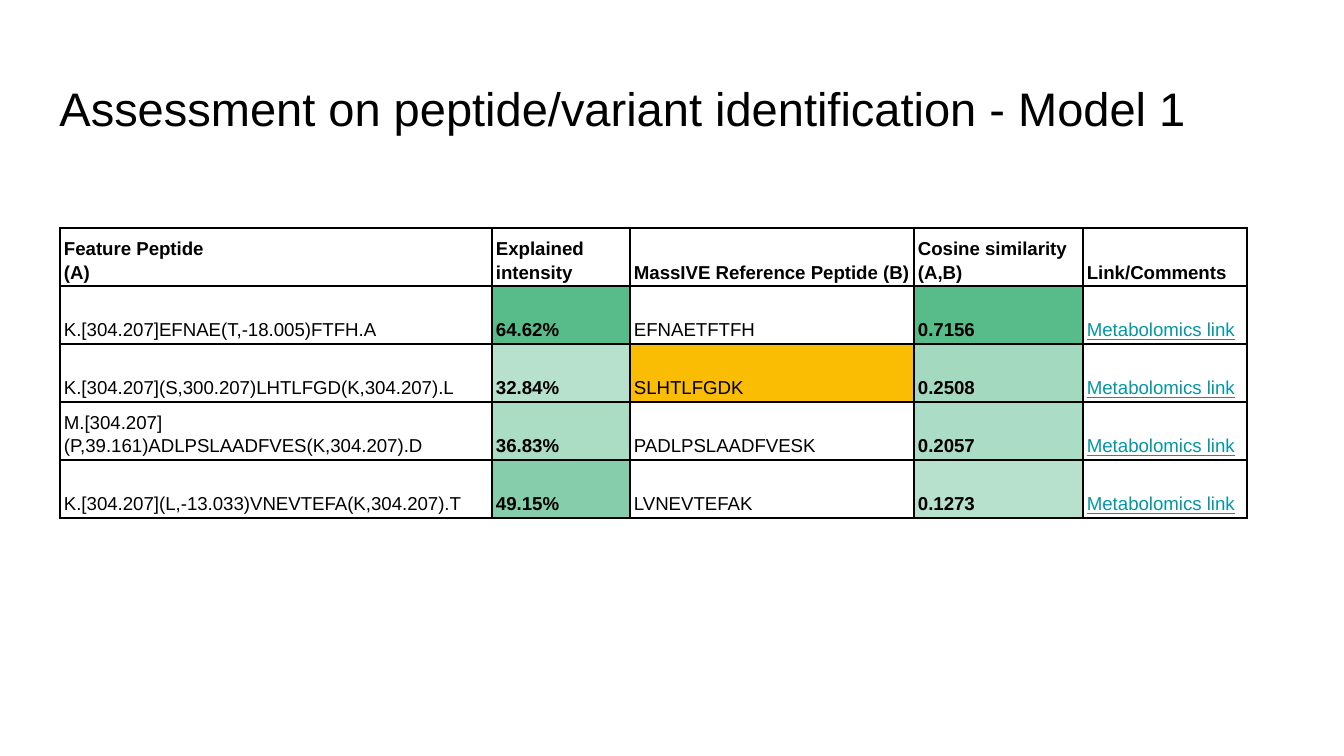
from lxml.etree import SubElement
from pptx import Presentation
from pptx.dml.color import RGBColor
from pptx.enum.text import MSO_ANCHOR, MSO_AUTO_SIZE, PP_ALIGN
from pptx.oxml.ns import qn
from pptx.util import Emu, Pt

HEADS = ["Feature Peptide\n(A)", "Explained intensity", "MassIVE Reference Peptide (B)",
         "Cosine similarity (A,B)", "Link/Comments"]
LINK = "Metabolomics link"
ROWS = [
    ["K.[304.207]EFNAE(T,-18.005)FTFH.A", "64.62%", "EFNAETFTFH", "0.7156", LINK],
    ["K.[304.207](S,300.207)LHTLFGD(K,304.207).L", "32.84%", "SLHTLFGDK", "0.2508", LINK],
    ["M.[304.207](P,39.161)ADLPSLAADFVES(K,304.207).D", "36.83%", "PADLPSLAADFVESK",
     "0.2057", LINK],
    ["K.[304.207](L,-13.033)VNEVTEFA(K,304.207).T", "49.15%", "LVNEVTEFAK", "0.1273", LINK],
]
FILLS = {
    (1, 1): "57BB8A", (1, 3): "57BB8A",
    (2, 1): "B7E1CD", (2, 2): "FBBC04", (2, 3): "A3DABF",
    (3, 1): "ABDDC5", (3, 3): "ABDCC5",
    (4, 1): "86CEAB", (4, 3): "B7E1CD",
}
WIDTHS = [432, 138, 284, 169, 164]


def px(num):
    return Emu(round(num * 914400 / 134.4))


def tint(code):
    return RGBColor.from_string(code)


def write(frame, text, size=10, color="000000", bold=False, line=False, space=1.0):
    frame.text = text
    frame.word_wrap = True
    for para in frame.paragraphs:
        para.alignment = PP_ALIGN.LEFT
        para.line_spacing = space
        for run in para.runs:
            font = run.font
            font.name, font.size = "Arial", Pt(size)
            font.bold, font.underline = bold, line
            font.color.rgb = tint(color)


def edge(cell, color="000000", width=0.75):
    props = cell._tc.get_or_add_tcPr()
    for spot, side in enumerate(("lnL", "lnR", "lnT", "lnB")):
        line = SubElement(props, qn(f"a:{side}"), w=str(Pt(width)))
        fill = SubElement(line, qn("a:solidFill"))
        SubElement(fill, qn("a:srgbClr"), val=color)
        props.insert(spot, line)


class Deck:
    """Holds the style and the current slide."""

    def __init__(self, wide, high):
        self.show = Presentation()
        self.show.slide_width, self.show.slide_height = px(wide), px(high)
        self.slide = self.show.slides.add_slide(self.show.slide_layouts[5])
        self.ink, self.link, self.paper = "000000", "0097A7", "FFFFFF"

    def title(self, text, left, top, wide, high):
        box = self.slide.shapes.title
        box.left, box.top, box.width, box.height = map(px, (left, top, wide, high))
        frame = box.text_frame
        frame.auto_size = MSO_AUTO_SIZE.NONE
        frame.vertical_anchor = MSO_ANCHOR.MIDDLE
        frame.margin_left = frame.margin_right = Pt(7.2)
        frame.margin_top = frame.margin_bottom = Pt(7.2)
        write(frame, text, size=25.2, color=self.ink)

    def cell(self, cell, text, fill, bold):
        cell.margin_left = cell.margin_right = px(4)
        cell.margin_top = cell.margin_bottom = px(3)
        cell.vertical_anchor = MSO_ANCHOR.BOTTOM
        cell.fill.solid()
        cell.fill.fore_color.rgb = tint(fill)
        linked = text == LINK
        write(cell.text_frame, text, color=self.link if linked else self.ink,
              bold=bold, line=linked, space=1.15)
        edge(cell, self.ink)

    def table(self, rows, left, top, widths, high):
        frame = self.slide.shapes.add_table(
            len(rows), len(widths), px(left), px(top), px(sum(widths)), px(high * len(rows)))
        grid = frame.table
        grid.first_row = grid.horz_banding = False
        for col, wide in zip(grid.columns, widths):
            col.width = px(wide)
        for r, row in enumerate(rows):
            grid.rows[r].height = px(high)
            for c, text in enumerate(row):
                self.cell(grid.cell(r, c), text, FILLS.get((r, c), self.paper),
                          bold=r == 0 or c in (1, 3))


def main():
    deck = Deck(1344, 756)
    deck.title("Assessment on peptide/variant identification - Model 1", 46, 66, 1252, 84)
    deck.table([HEADS] + ROWS, 60, 228, WIDTHS, 58)
    deck.show.save("out.pptx")


if __name__ == "__main__":
    main()
